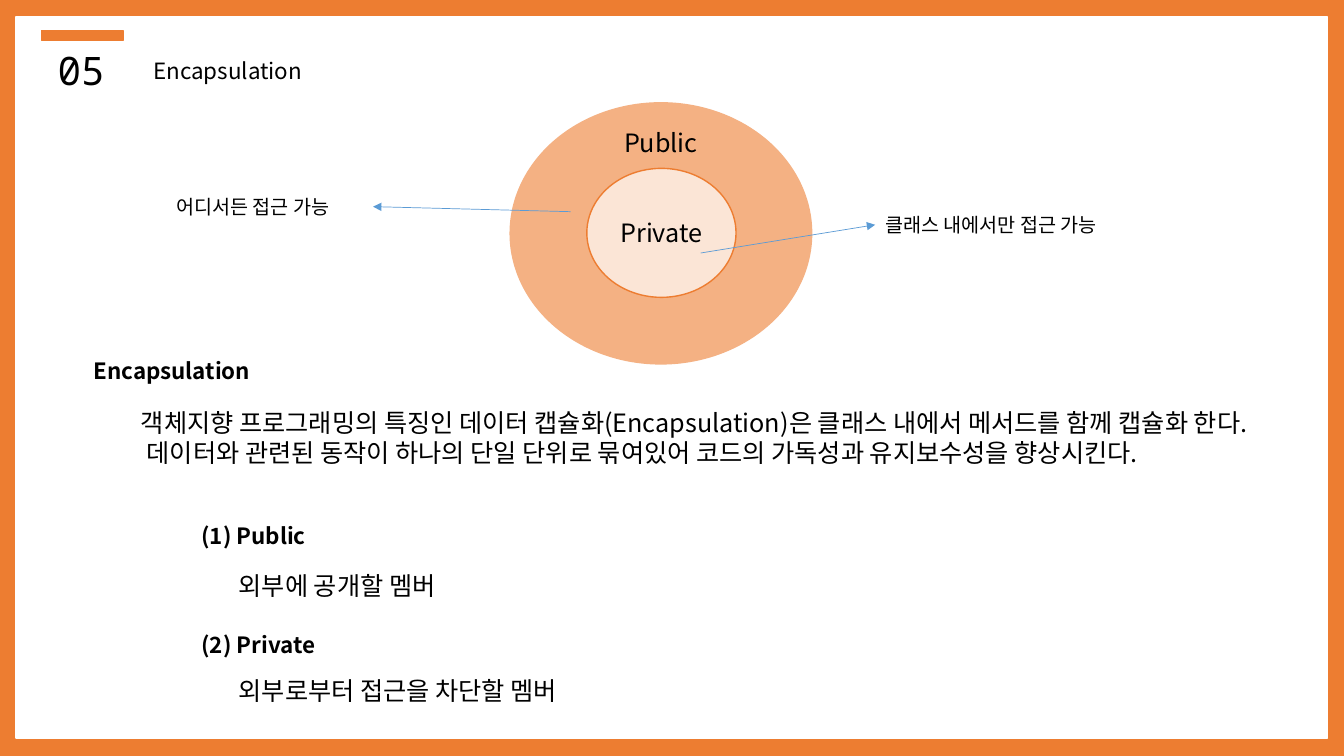
"""Build the Encapsulation slide: nested access circles above the member definitions."""
from dataclasses import dataclass

from lxml import etree
from pptx import Presentation
from pptx.dml.color import RGBColor
from pptx.enum.shapes import MSO_CONNECTOR, MSO_SHAPE
from pptx.enum.text import MSO_ANCHOR, PP_ALIGN
from pptx.oxml.ns import qn
from pptx.util import Emu, Pt

RECT, OVAL = MSO_SHAPE.RECTANGLE, MSO_SHAPE.OVAL
STRAIGHT = MSO_CONNECTOR.STRAIGHT
LEFT, CENTER = PP_ALIGN.LEFT, PP_ALIGN.CENTER
TOP, MIDDLE = MSO_ANCHOR.TOP, MSO_ANCHOR.MIDDLE
LEFT_SIDE = 1
PX = 9144
SLIDE = (1333, 750)


@dataclass(frozen=True)
class Theme:
    accent: str = "ED7D31"
    public: str = "F4B183"
    private: str = "FBE5D6"
    paper: str = "FFFFFF"
    ink: str = "000000"
    arrow: str = "5B9BD5"
    sans: str = "Noto Sans CJK KR"
    mono: str = "Noto Sans Mono"
    number: int = 28
    body: int = 18
    heading: int = 16
    note: int = 14


THEME = Theme()

PANELS = [
    (RECT, (0, 0, *SLIDE), THEME.accent, None),
    (RECT, (16, 17, 1301, 715), THEME.paper, THEME.paper),
    (RECT, (41, 30, 81, 10), THEME.accent, THEME.accent),
    (OVAL, (506, 102, 299, 259), THEME.public, THEME.public),
]
PRIVATE_CIRCLE = (OVAL, (582, 167, 148, 128), THEME.private, THEME.accent)
PRIVATE_LABEL = "Private"

CENTERED_TEXTS = [
    ("05", (22, 41, 117, 57), THEME.number, THEME.mono),
    ("Encapsulation", (81, 52, 290, 37), THEME.heading, THEME.sans),
    ("Public", (569, 121, 173, 40), THEME.body, THEME.sans),
]
HEADINGS = [
    ("Encapsulation", (83, 349, 602, 37)),
    ("(1) Public", (190, 513, 602, 37)),
    ("(2) Private", (190, 621, 602, 37)),
]
DESCRIPTIONS = [
    ("객체지향 프로그래밍의 특징인 데이터 캡슐화(Encapsulation)은 클래스 내에서 메서드를 함께 캡슐화 한다. "
     "데이터와 관련된 동작이 하나의 단일 단위로 묶여있어 코드의 가독성과 유지보수성을 향상시킨다.",
     (130, 399, 1115, 101)),
    ("외부에 공개할 멤버", (227, 561, 1000, 40)),
    ("외부로부터 접근을 차단할 멤버", (227, 665, 1000, 40)),
]
PUBLIC_NOTE = ("어디서든 접근 가능", (165, 188, 273, 34))
PRIVATE_NOTE = ("클래스 내에서만 접근 가능", (868, 206, 273, 34))
PUBLIC_ARROW = (566, 210, 370, 205)
PRIVATE_ARROW = (695, 251, 868, 223)


def emu(lengths):
    return [Emu(length * PX) for length in lengths]


def color(value):
    return RGBColor.from_string(value)


def write(shape, text, size, font=THEME.sans, align=LEFT, anchor=TOP, bold=False):
    frame = shape.text_frame
    frame.word_wrap = True
    frame.vertical_anchor = anchor
    paragraph = frame.paragraphs[0]
    paragraph.text = text
    paragraph.alignment = align
    paragraph.font.name = font
    paragraph.font.size = Pt(size)
    paragraph.font.bold = bold
    paragraph.font.color.rgb = color(THEME.ink)


def add_panel(slide, kind, box, fill, outline):
    panel = slide.shapes.add_shape(kind, *emu(box))
    panel.shadow.inherit = False
    panel.fill.solid()
    panel.fill.fore_color.rgb = color(fill)
    if outline:
        panel.line.color.rgb = color(outline)
        panel.line.width = Pt(1)
    else:
        panel.line.fill.background()
    return panel


def add_text(slide, text, box, size, **style):
    label = slide.shapes.add_textbox(*emu(box))
    write(label, text, size, **style)
    return label


def add_arrow(slide, ends):
    arrow = slide.shapes.add_connector(STRAIGHT, *emu(ends))
    arrow.line.color.rgb = color(THEME.arrow)
    arrow.line.width = Pt(0.5)
    etree.SubElement(arrow.line._get_or_add_ln(), qn("a:tailEnd")).set("type", "triangle")
    etree.SubElement(arrow._element.spPr, qn("a:effectLst"))
    return arrow


def main():
    deck = Presentation()
    deck.slide_width, deck.slide_height = emu(SLIDE)
    slide = deck.slides.add_slide(deck.slide_layouts[6])

    for panel in PANELS:
        add_panel(slide, *panel)
    private_circle = add_panel(slide, *PRIVATE_CIRCLE)
    write(private_circle, PRIVATE_LABEL, THEME.body, align=CENTER, anchor=MIDDLE)

    for text, box, size, font in CENTERED_TEXTS:
        add_text(slide, text, box, size, font=font, align=CENTER)
    for text, box in HEADINGS:
        add_text(slide, text, box, THEME.heading, bold=True)
    for text, box in DESCRIPTIONS:
        add_text(slide, text, box, THEME.body)

    add_text(slide, *PUBLIC_NOTE, THEME.note)
    private_note = add_text(slide, *PRIVATE_NOTE, THEME.note)
    add_arrow(slide, PUBLIC_ARROW)
    add_arrow(slide, PRIVATE_ARROW).end_connect(private_note, LEFT_SIDE)

    deck.save("out.pptx")


if __name__ == "__main__":
    main()
